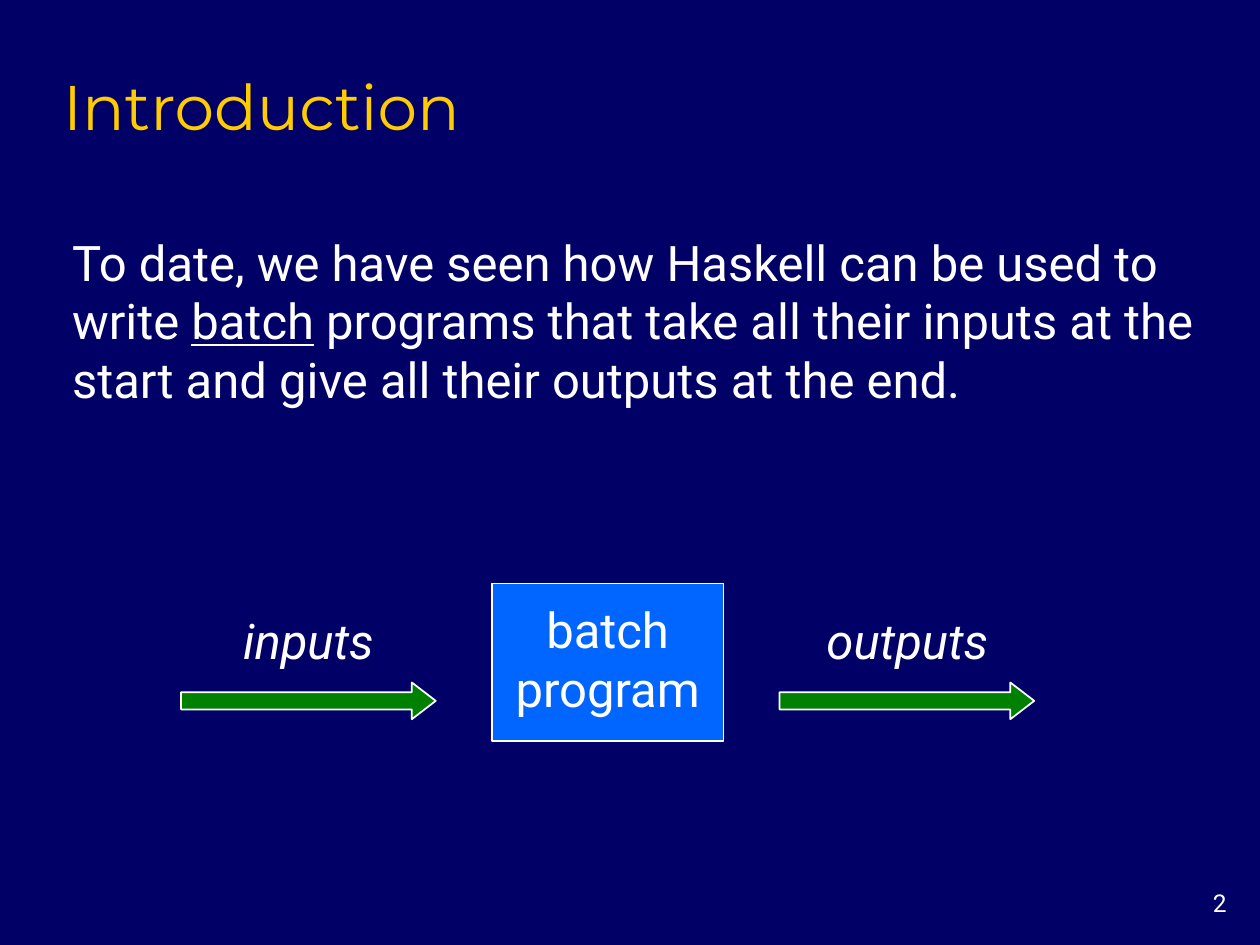
from lxml import etree
from pptx import Presentation
from pptx.dml.color import RGBColor
from pptx.enum import shapes, text
from pptx.oxml.ns import qn
from pptx.util import Pt

NAVY = RGBColor(0x00, 0x00, 0x66)
GOLD = RGBColor(0xFF, 0xCC, 0x00)
WHITE = RGBColor(0xFF, 0xFF, 0xFF)
BLUE = RGBColor(0x00, 0x66, 0xFF)
GREEN = RGBColor(0x00, 0x80, 0x00)


def place(shape, left, top, width, height):
    shape.left, shape.top = Pt(left), Pt(top)
    shape.width, shape.height = Pt(width), Pt(height)
    shape.text_frame.word_wrap = True
    shape.text_frame.auto_size = text.MSO_AUTO_SIZE.NONE


def style(paragraph, size, align, color=WHITE, face="Roboto"):
    paragraph.alignment = align
    paragraph.font.size = Pt(size)
    paragraph.font.name = face
    paragraph.font.color.rgb = color


LEFT, CENTER, RIGHT = text.PP_ALIGN.LEFT, text.PP_ALIGN.CENTER, text.PP_ALIGN.RIGHT

prs = Presentation()
prs.slide_width, prs.slide_height = Pt(720), Pt(540)
slide = prs.slides.add_slide(prs.slide_layouts[1])
slide.background.fill.solid()
slide.background.fill.fore_color.rgb = NAVY

# Title and introductory sentence
title = slide.shapes.title
place(title, 30, 30, 612, 54)
title.text_frame.text = "Introduction"
title.text_frame.vertical_anchor = text.MSO_ANCHOR.BOTTOM
title.text_frame.margin_left = Pt(6)
title.text_frame.margin_bottom = Pt(2)
style(title.text_frame.paragraphs[0], 36, LEFT, GOLD, "Montserrat")

intro = slide.placeholders[1]
place(intro, 34, 129, 661, 108)
sentence = intro.text_frame.paragraphs[0]
for words, underlined in (
    ("To date, we have seen how Haskell can be used to write ", False),
    ("batch", True),
    (" programs that take all their inputs at the start"
     " and give all their outputs at the end.", False),
):
    run = sentence.add_run()
    run.text = words
    if underlined:
        run.font.underline = True
style(sentence, 28, LEFT)
sentence.space_before = Pt(0)
properties = sentence._p.get_or_add_pPr()
properties.set("marL", "0")
properties.set("indent", "0")
etree.SubElement(properties, qn("a:buNone"))
properties.append(properties.find(qn("a:defRPr")))  # schema order: bullet first

# Batch program box
program = slide.shapes.add_shape(shapes.MSO_SHAPE.RECTANGLE, 0, 0, 0, 0)
place(program, 281, 333.5, 132.5, 90)
program.text_frame.text = "batch\nprogram"
program.text_frame.margin_bottom = Pt(8)
for line in program.text_frame.paragraphs:
    style(line, 28, CENTER)
solids = [(program, BLUE)]

# Labelled arrows into and out of the box
for label, arrow_left, label_left, label_width in (
    ("inputs", 103.5, 129.5, 93.5),
    ("outputs", 445.5, 462, 113),
):
    caption = slide.shapes.add_textbox(0, 0, 0, 0)
    place(caption, label_left, 345, label_width, 41)
    caption.text_frame.text = label
    caption.text_frame.vertical_anchor = text.MSO_ANCHOR.MIDDLE
    style(caption.text_frame.paragraphs[0], 28, CENTER)
    caption.text_frame.paragraphs[0].font.italic = True

    arrow = slide.shapes.add_shape(shapes.MSO_SHAPE.RIGHT_ARROW, 0, 0, 0, 0)
    place(arrow, arrow_left, 390, 145.5, 21)
    arrow.adjustments[0] = 0.47
    arrow.adjustments[1] = 0.65
    solids.append((arrow, GREEN))

for solid, color in solids:
    solid.shadow.inherit = False
    solid.fill.solid()
    solid.fill.fore_color.rgb = color
    solid.line.color.rgb = WHITE
    solid.line.width = Pt(1)

# Page number
page = slide.shapes.add_textbox(0, 0, 0, 0)
place(page, 660, 504, 48, 24)
page.text_frame.text = "2"
style(page.text_frame.paragraphs[0], 14, RIGHT)

prs.save("out.pptx")
